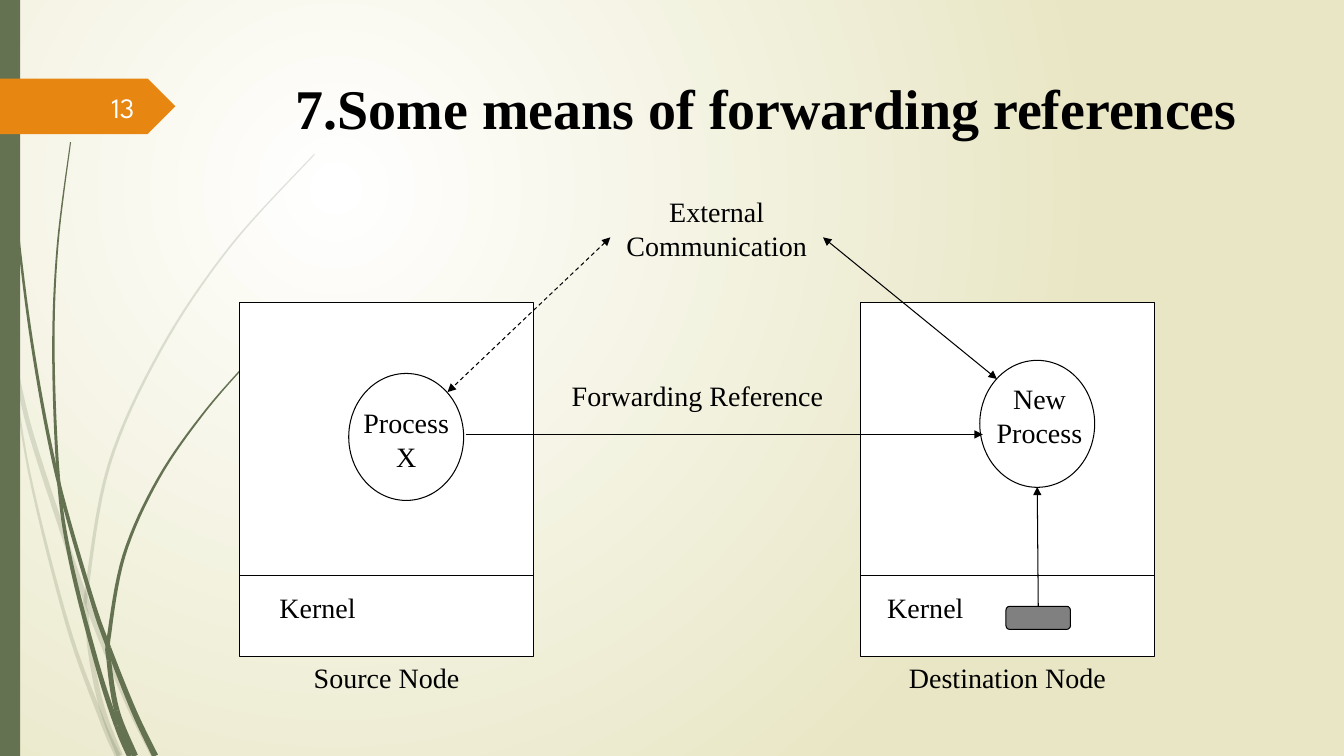
from dataclasses import dataclass
from math import hypot

from lxml import etree
from pptx import Presentation
from pptx import util as u
from pptx.dml.color import RGBColor
from pptx.enum import dml, shapes, text
from pptx.oxml.ns import qn

CELL = u.Inches(0.1)  # one column or row of the slide grid
COLUMNS, ROWS = 133.33, 75
STEPS = 8  # curve steps between two points of a blade


@dataclass(frozen=True)
class Theme:
    ink: str = "000000"
    paper: str = "FFFFFF"
    sand: str = "E8E6C4"
    leaf: str = "647252"
    accent: str = "E78712"
    gray: str = "808080"
    number: str = "FEFFFF"
    serif: str = "Times New Roman"
    sans: str = "League Spartan"
    title_size: int = 40
    label_size: int = 20
    line: float = 0.75


THEME = Theme()

# Grass blades: centre line from the tip in grid cells, points where stems meet, tip width.
PALE_BLADES = [
    ([(0, 29), (1.2, 34.8), (2.9, 42.4), (6, 52.1), (8.6, 59.7), (12.5, 69.3), (15.3, 75)],
     (0, 1, 4, 6), 0.4),
    ([(1.1, 35), (2.9, 46.9), (6.7, 62), (10.1, 71.4), (11.7, 75)], (0, 3, 4), 0.1),
    ([(31.2, 15.3), (22.8, 24.5), (15.9, 34.8), (10.8, 46.2), (8.6, 58.6), (8.6, 61),
      (9.1, 65.5), (10.2, 70.5), (11.9, 75)], (0, 4, 5, 7, 8), 0.1),
]
LEAF_BLADES = [
    ([(0.3, 0), (0.6, 10), (1.8, 23.3), (3.4, 35.5), (5.7, 47.4), (9, 59.1),
      (10.8, 64.3), (13.3, 70.6), (15.4, 75)], (0, 4, 6, 8), 0.1),
    ([(7, 14.1), (5.7, 24.5), (5.3, 34.9), (5.8, 47.4), (7, 55.6), (9.6, 65.8),
      (11.6, 72), (12.9, 75)], (0, 3, 6, 7), 0.1),
    ([(26, 34.4), (20.5, 40.6), (15.7, 47.5), (12.3, 55.1), (10.8, 63.2), (10.8, 65.5),
      (11.6, 70.5), (13.4, 75)], (0, 4, 5, 6, 7), 0.1),
]


def cells(*values):
    return [round(value * CELL) for value in values]


def rgb(code):
    return RGBColor.from_string(code)


def smooth(points):
    """Catmull-Rom curve through the points."""
    padded = [points[0], *points, points[-1]]
    curve = []
    for a, b, c, d in zip(padded, padded[1:], padded[2:], padded[3:]):
        for step in range(STEPS):
            t = step / STEPS
            curve.append(tuple(
                (2 * q + (r - p) * t + (2 * p - 5 * q + 4 * r - s) * t ** 2
                 + (3 * q - p - 3 * r + s) * t ** 3) / 2
                for p, q, r, s in zip(a, b, c, d)))
    return curve + [points[-1]]


def add_blade(page, points, joints, tip, opacity=100):
    """Curved blade of several stems that widens evenly from its tip to its foot."""
    curve = smooth(points)
    last = len(curve) - 1
    left, right = [], []
    for index, (x, y) in enumerate(curve):
        before, after = curve[max(index - 1, 0)], curve[min(index + 1, last)]
        dx, dy = after[0] - before[0], after[1] - before[1]
        half = (tip + (0.6 - tip) * index / last) / 2 / hypot(dx, dy)
        left.append(cells(x - dy * half, y + dx * half))
        right.append(cells(x + dy * half, y - dx * half))
    for first, final in zip(joints, joints[1:]):
        part = slice(first * STEPS, final * STEPS + 1)
        add_stem(page, left[part] + right[part][::-1], opacity)


def add_stem(page, outline, opacity):
    builder = page.shapes.build_freeform(*outline[0])
    builder.add_line_segments(outline[1:], close=True)
    stem = builder.convert_to_shape()
    paint(stem, THEME.leaf)
    if opacity < 100:
        color = stem.element.spPr.find(".//" + qn("a:srgbClr"))
        etree.SubElement(color, qn("a:alpha"), val=str(opacity * 1000))


def paint(shape, fill, line=None):
    shape.shadow.inherit = False
    shape.fill.solid()
    shape.fill.fore_color.rgb = rgb(fill)
    if line:
        shape.line.color.rgb = rgb(line)
        shape.line.width = u.Pt(THEME.line)
    else:
        shape.line.fill.background()


def add_block(page, kind, area, fill, line=None):
    shape = page.shapes.add_shape(kind, *cells(*area))
    paint(shape, fill, line)
    return shape


def write(box, words, size, font, color, align, bold=False):
    para = box.text_frame.paragraphs[0]
    para.alignment = align
    span = para.add_run()
    span.text = words
    span.font.size, span.font.name, span.font.bold = u.Pt(size), font, bold
    span.font.color.rgb = rgb(color)


def add_label(page, words, area):
    box = page.shapes.add_textbox(*cells(*area))
    box.text_frame.word_wrap = True
    write(box, words, THEME.label_size, THEME.serif, THEME.ink, text.PP_ALIGN.CENTER)
    return box


def add_line(page, start, end, ends=(), dashed=False):
    """Straight line; ends names the XML tags of the arrowheads it carries."""
    line = page.shapes.add_connector(shapes.MSO_CONNECTOR.STRAIGHT, *cells(*start, *end))
    line.line.color.rgb = rgb(THEME.ink)
    line.line.width = u.Pt(THEME.line)
    if dashed:
        line.line.dash_style = dml.MSO_LINE.DASH
    properties = line.element.spPr
    for tag in ends:
        etree.SubElement(properties.find(qn("a:ln")), qn(tag), type="triangle")
    etree.SubElement(properties, qn("a:effectLst"))
    return line


def add_background(page):
    fill = page.background.fill
    fill.gradient()
    for stop, color in zip(fill.gradient_stops, (THEME.paper, THEME.sand)):
        stop.color.rgb = rgb(color)
    gradient = page.element.find(".//" + qn("a:gradFill"))
    gradient.remove(gradient.find(qn("a:lin")))
    circle = etree.SubElement(gradient, qn("a:path"), path="circle")
    etree.SubElement(circle, qn("a:fillToRect"), l="50000", t="50000", r="100000", b="100000")


def add_decor(page):
    for blade in PALE_BLADES:
        add_blade(page, *blade, opacity=20)
    for blade in LEAF_BLADES:
        add_blade(page, *blade)
    preset = shapes.MSO_SHAPE
    add_block(page, preset.RECTANGLE, (0, 0, 2, ROWS), THEME.leaf)
    add_block(page, preset.PENTAGON, (0, 7.8, 17.4, 5.5), THEME.accent)
    box = page.shapes.add_textbox(*cells(5.8, 8.6, 8.5, 4))
    box.text_frame.word_wrap = True
    box.text_frame.vertical_anchor = text.MSO_ANCHOR.MIDDLE
    write(box, "13", THEME.label_size, THEME.sans, THEME.number, text.PP_ALIGN.RIGHT)


def add_title(page, words):
    title = page.shapes.title
    title.left, title.top, title.width, title.height = cells(28.35, 6.8, 97.5, 14)
    title.text_frame.vertical_anchor = text.MSO_ANCHOR.TOP
    title.text_frame.auto_size = text.MSO_AUTO_SIZE.NONE
    write(title, words, THEME.title_size, THEME.serif, THEME.ink, text.PP_ALIGN.LEFT, True)


def add_node(page, name, left, kernel_width):
    width = 29.15
    add_block(page, shapes.MSO_SHAPE.RECTANGLE, (left, 30, width, 35.15), THEME.paper, THEME.ink)
    add_line(page, (left, 57.1), (left + width, 57.1))
    add_label(page, "Kernel", (left, 58.1, kernel_width, 5.9))
    add_label(page, name, (left + 0.2, 65, 28.7, 5.5))


def add_process(page, words, left, top, label_area):
    add_block(page, shapes.MSO_SHAPE.OVAL, (left, top, 11.4, 12.6), THEME.paper, THEME.ink)
    add_label(page, words, label_area)


def main():
    deck = Presentation()
    deck.slide_width, deck.slide_height = cells(COLUMNS, ROWS)
    page = deck.slides.add_slide(deck.slide_layouts.get_by_name("Title Only"))
    add_background(page)
    add_decor(page)
    add_title(page, "7.Some means of forwarding references")

    add_node(page, "Source Node", 23.8, 15.4)
    add_node(page, "Destination Node", 85.4, 12.8)
    add_process(page, "Process X", 34.6, 37.05, (35, 39.75, 10.6, 8))
    add_process(page, "New Process", 97.2, 35.75, (95.4, 37.4, 15.45, 9.5))
    external = add_label(page, "External Communication", (60.55, 18.8, 21.1, 9.5))
    add_label(page, "Forwarding Reference", (53.9, 37.05, 30.6, 6))
    buffer = add_block(page, shapes.MSO_SHAPE.ROUNDED_RECTANGLE, (99.8, 60.15, 6.4, 2.3),
                       THEME.gray, THEME.ink)

    both, forward = ("a:headEnd", "a:tailEnd"), ("a:tailEnd",)
    old_link = add_line(page, (60.6, 23.6), (44.4, 38.9), both, dashed=True)
    old_link.begin_connect(external, 1)
    new_link = add_line(page, (81.7, 23.6), (98.9, 37.6), both)
    new_link.begin_connect(external, 3)
    add_line(page, (46.2, 43.1), (97.5, 43.1), forward)
    kernel_link = add_line(page, (103, 60.1), (102.9, 48.3), forward)
    kernel_link.begin_connect(buffer, 0)
    deck.save("out.pptx")


if __name__ == "__main__":
    main()
